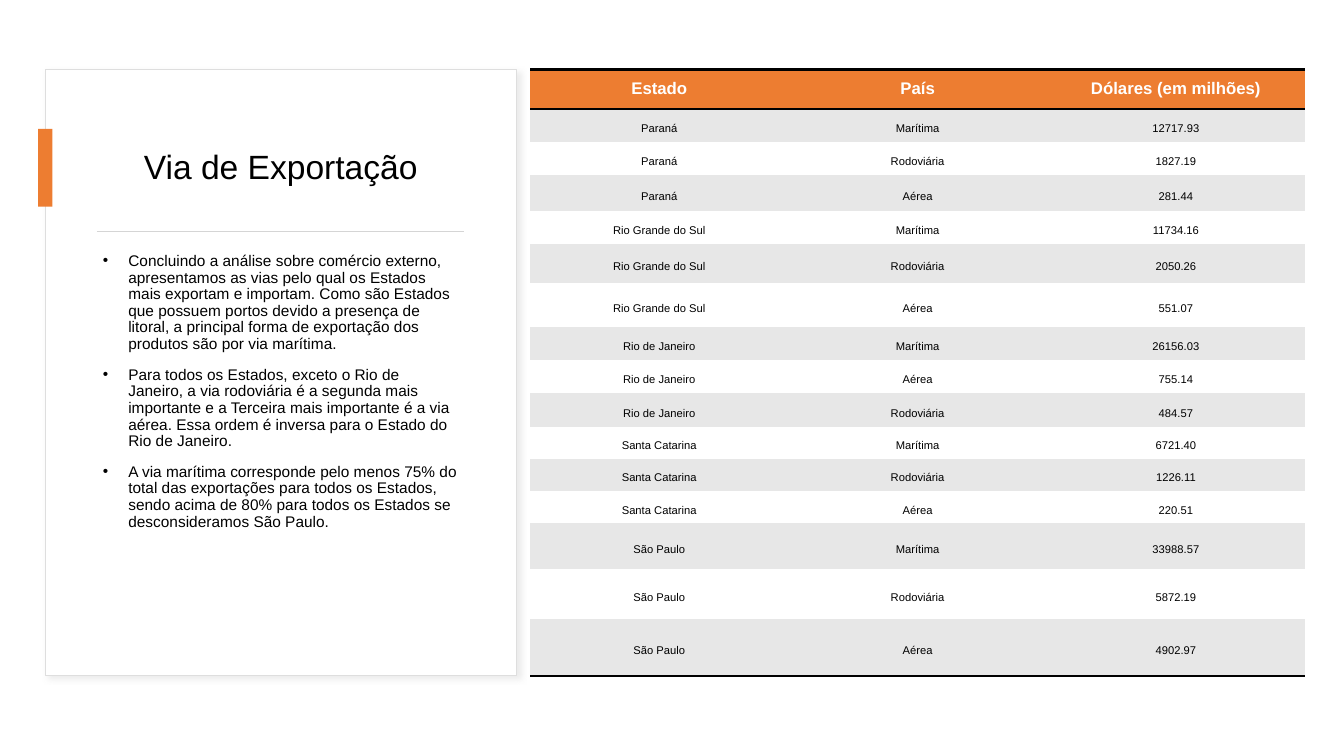
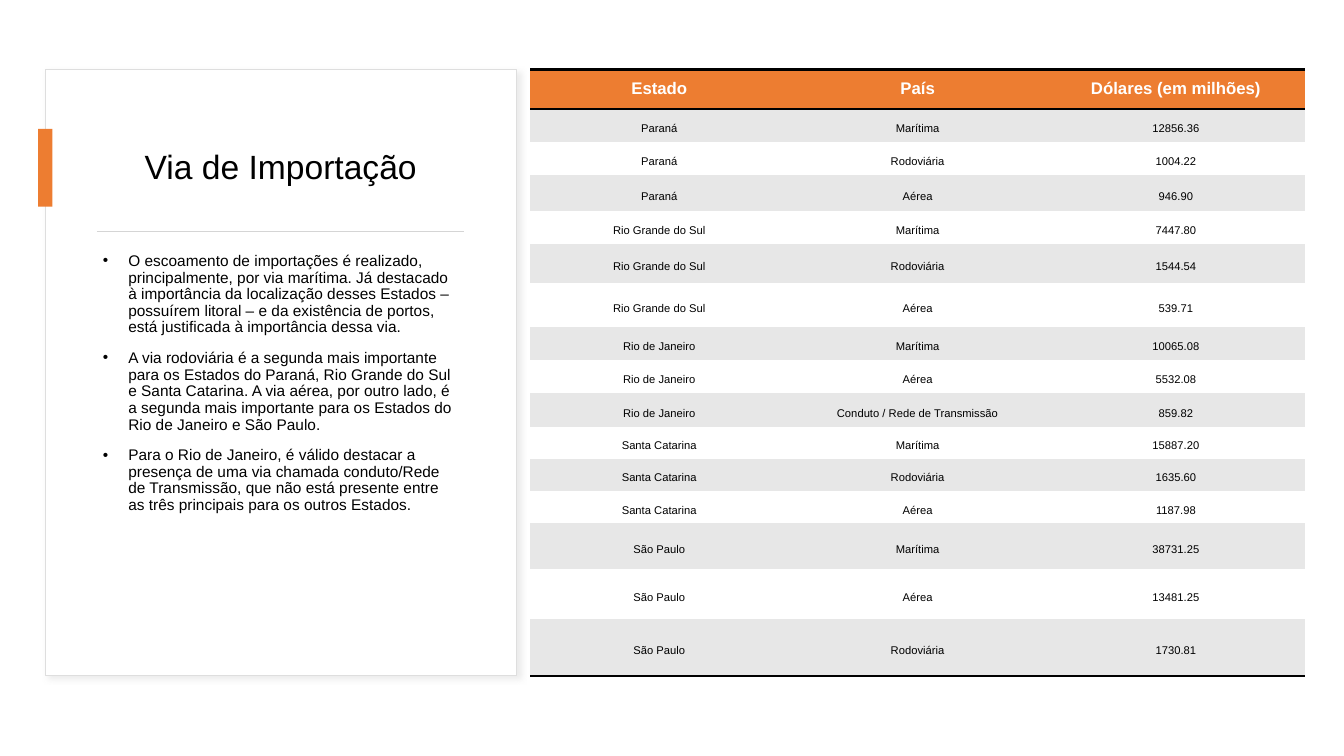
import dataclasses

import lxml.etree
import pptx
import pptx.dml.color
import pptx.enum.shapes
import pptx.enum.text
import pptx.oxml
import pptx.oxml.ns
import pptx.util

Cm = pptx.util.Cm
Pt = pptx.util.Pt
ALIGN = pptx.enum.text.PP_ALIGN
MIDDLE = pptx.enum.text.MSO_ANCHOR.MIDDLE
TOP = pptx.enum.text.MSO_ANCHOR.TOP


@dataclasses.dataclass(frozen=True)
class Theme:
    font: str = "Arial"
    accent: str = "ED7D31"
    text: str = "000000"
    white: str = "FFFFFF"
    band: str = "E7E7E7"
    card_line: str = "DEDEDE"
    rule: str = "D5D5D5"
    shadow: str = "D9D9D9"
    title_size: int = 24
    body_size: int = 11
    header_size: int = 12
    cell_size: int = 8


@dataclasses.dataclass(frozen=True)
class Box:
    """A region in centimetres."""
    left: float
    top: float
    width: float
    height: float

    def inner(self, left, top, width, height):
        return Box(self.left + left, self.top + top, width, height)

    def lengths(self):
        return [Cm(value) for value in dataclasses.astuple(self)]


THEME = Theme()
CARD_BOX = Box(1.14, 1.75, 11.89, 15.27)
TABLE_BOX = Box(13.36, 1.75, 19.53, 15.24)
ROW_HEIGHTS = [0.99, 0.84, 0.84, 0.89, 0.84, 0.99, 1.09, 0.84, 0.84, 0.84,
               0.81, 0.81, 0.81, 1.17, 1.24, 1.45]
HEADERS = ["Estado", "País", "Dólares (em milhões)"]
NO_STYLE = "{2D5ABB26-0587-4C30-8999-92F81FD0307C}"

SEA, ROAD, AIR = "Marítima", "Rodoviária", "Aérea"
PIPE = "Conduto / Rede de Transmissão"

SLIDES = [
    {
        "title": "Via de Exportação",
        "points": [
            "Concluindo a análise sobre comércio externo, apresentamos as vias pelo qual "
            "os Estados mais exportam e importam. Como são Estados que possuem portos "
            "devido a presença de litoral, a principal forma de exportação dos produtos "
            "são por via marítima.",
            "Para todos os Estados, exceto o Rio de Janeiro, a via rodoviária é a segunda "
            "mais importante e a Terceira mais importante é a via aérea. Essa ordem é "
            "inversa para o Estado do Rio de Janeiro.",
            "A via marítima corresponde pelo menos 75% do total das exportações para todos "
            "os Estados, sendo acima de 80% para todos os Estados se desconsideramos "
            "São Paulo.",
        ],
        "routes": {
            "Paraná": {SEA: 12717.93, ROAD: 1827.19, AIR: 281.44},
            "Rio Grande do Sul": {SEA: 11734.16, ROAD: 2050.26, AIR: 551.07},
            "Rio de Janeiro": {SEA: 26156.03, AIR: 755.14, ROAD: 484.57},
            "Santa Catarina": {SEA: 6721.40, ROAD: 1226.11, AIR: 220.51},
            "São Paulo": {SEA: 33988.57, ROAD: 5872.19, AIR: 4902.97},
        },
    },
    {
        "title": "Via de Importação",
        "points": [
            "O escoamento de importações é realizado, principalmente, por via marítima. "
            "Já destacado à importância da localização desses Estados – possuírem litoral "
            "– e da existência de portos, está justificada à importância dessa via.",
            "A via rodoviária é a segunda mais importante para os Estados do Paraná, "
            "Rio Grande do Sul e Santa Catarina. A via aérea, por outro lado, é a segunda "
            "mais importante para os Estados do Rio de Janeiro e São Paulo.",
            "Para o Rio de Janeiro, é válido destacar a presença de uma via chamada "
            "conduto/Rede de Transmissão, que não está presente entre as três principais "
            "para os outros Estados.",
        ],
        "routes": {
            "Paraná": {SEA: 12856.36, ROAD: 1004.22, AIR: 946.90},
            "Rio Grande do Sul": {SEA: 7447.80, ROAD: 1544.54, AIR: 539.71},
            "Rio de Janeiro": {SEA: 10065.08, AIR: 5532.08, PIPE: 859.82},
            "Santa Catarina": {SEA: 15887.20, ROAD: 1635.60, AIR: 1187.98},
            "São Paulo": {SEA: 38731.25, AIR: 13481.25, ROAD: 1730.81},
        },
    },
]


def rgb(value):
    return pptx.dml.color.RGBColor.from_string(value)


def sub_element(parent, tag, **attributes):
    return lxml.etree.SubElement(parent, pptx.oxml.ns.qn(tag), **attributes)


def write_text(paragraph, text, *, size, color=THEME.text, bold=False,
               align=ALIGN.LEFT, spacing=1.0, before=0):
    paragraph.alignment = align
    paragraph.line_spacing = spacing
    paragraph.space_before = Pt(before)
    run = paragraph.add_run()
    run.text = text
    run.font.name = THEME.font
    run.font.size = Pt(size)
    run.font.bold = bold
    run.font.color.rgb = rgb(color)


def add_rectangle(slide, box, fill, line=None):
    shape = slide.shapes.add_shape(pptx.enum.shapes.MSO_SHAPE.RECTANGLE, *box.lengths())
    shape.shadow.inherit = False
    shape.fill.solid()
    shape.fill.fore_color.rgb = rgb(fill)
    if line:
        shape.line.color.rgb = rgb(line)
        shape.line.width = Pt(0.75)
    else:
        shape.line.fill.background()
    return shape


def add_soft_shadow(shape):
    effects = shape.element.spPr.find(pptx.oxml.ns.qn("a:effectLst"))
    shadow = sub_element(effects, "a:outerShdw", blurRad=str(Pt(4)), dist=str(Pt(3)),
                         dir="2700000", algn="tl", rotWithShape="0")
    color = sub_element(shadow, "a:srgbClr", val=THEME.shadow)
    sub_element(color, "a:alpha", val="50000")


def add_rule(slide, box):
    rule = slide.shapes.add_connector(
        pptx.enum.shapes.MSO_CONNECTOR.STRAIGHT, Cm(box.left), Cm(box.top),
        Cm(box.left + box.width), Cm(box.top))
    rule.line.color.rgb = rgb(THEME.rule)
    rule.line.width = Pt(0.75)
    sub_element(rule.element.spPr, "a:effectLst")


def place_placeholder(placeholder, box, anchor):
    placeholder.left, placeholder.top, placeholder.width, placeholder.height = box.lengths()
    frame = placeholder.text_frame
    frame.word_wrap = True
    frame.auto_size = pptx.enum.text.MSO_AUTO_SIZE.NONE
    frame.vertical_anchor = anchor
    return frame


def build_card(slide, box, title, points):
    # Card behind the placeholders
    card = add_rectangle(slide, box, THEME.white, THEME.card_line)
    add_soft_shadow(card)
    slide.shapes.element.insert(2, card.element)

    # Title, accent tab and rule
    frame = place_placeholder(slide.shapes.title, box.inner(1.2, 0.97, 9.47, 3.07), MIDDLE)
    write_text(frame.paragraphs[0], title, size=THEME.title_size,
               align=ALIGN.CENTER, spacing=0.9)
    add_rectangle(slide, box.inner(-0.18, 1.5, 0.36, 1.96), THEME.accent)
    add_rule(slide, box.inner(1.3, 4.08, 9.25, 0))

    # Bulleted list
    frame = place_placeholder(slide.placeholders[1], box.inner(1.2, 4.5, 9.47, 9.88), TOP)
    for index, point in enumerate(points):
        paragraph = frame.add_paragraph() if index else frame.paragraphs[0]
        write_text(paragraph, point, size=THEME.body_size, spacing=0.9, before=10)
        properties = paragraph.runs[0].font and paragraph._p.get_or_add_pPr()
        properties.set("marL", str(Cm(0.64)))
        properties.set("indent", str(-Cm(0.64)))
        sub_element(properties, "a:buFont", typeface=THEME.font)
        sub_element(properties, "a:buChar", char="•")


def add_border(cell, tag):
    line = sub_element(cell._tc.get_or_add_tcPr(), tag, w=str(Pt(2)))
    fill = sub_element(line, "a:solidFill")
    sub_element(fill, "a:srgbClr", val=THEME.text)


def build_route_table(slide, box, routes):
    rows = [HEADERS] + [[state, route, f"{amount:.2f}"]
                        for state, amounts in routes.items()
                        for route, amount in amounts.items()]
    graphic = slide.shapes.add_table(len(rows), len(HEADERS), *box.lengths())
    table = graphic.table
    table.horz_banding = False
    graphic.element.find(".//" + pptx.oxml.ns.qn("a:tableStyleId")).text = NO_STYLE
    for column in table.columns:
        column.width = Cm(box.width / len(HEADERS))

    header_format = {"size": THEME.header_size, "color": THEME.white, "bold": True}
    cell_format = {"size": THEME.cell_size, "spacing": 1.5}
    for row_index, values in enumerate(rows):
        table.rows[row_index].height = Cm(ROW_HEIGHTS[row_index])
        is_header = row_index == 0
        fill = THEME.accent if is_header else THEME.band if row_index % 2 else THEME.white
        for column_index, value in enumerate(values):
            cell = table.cell(row_index, column_index)
            cell.vertical_anchor = MIDDLE
            write_text(cell.text_frame.paragraphs[0], value, align=ALIGN.CENTER,
                       **(header_format if is_header else cell_format))
            # Borders come before the fill in the cell properties
            if is_header:
                add_border(cell, "a:lnT")
            if is_header or row_index == len(rows) - 1:
                add_border(cell, "a:lnB")
            cell.fill.solid()
            cell.fill.fore_color.rgb = rgb(fill)


def build_slide(presentation, content):
    slide = presentation.slides.add_slide(presentation.slide_layouts[1])
    build_card(slide, CARD_BOX, content["title"], content["points"])
    build_route_table(slide, TABLE_BOX, content["routes"])


def main():
    presentation = pptx.Presentation()
    presentation.slide_width = Cm(33.87)
    presentation.slide_height = Cm(19.05)
    for content in SLIDES:
        build_slide(presentation, content)
    presentation.save("out.pptx")


if __name__ == "__main__":
    main()
